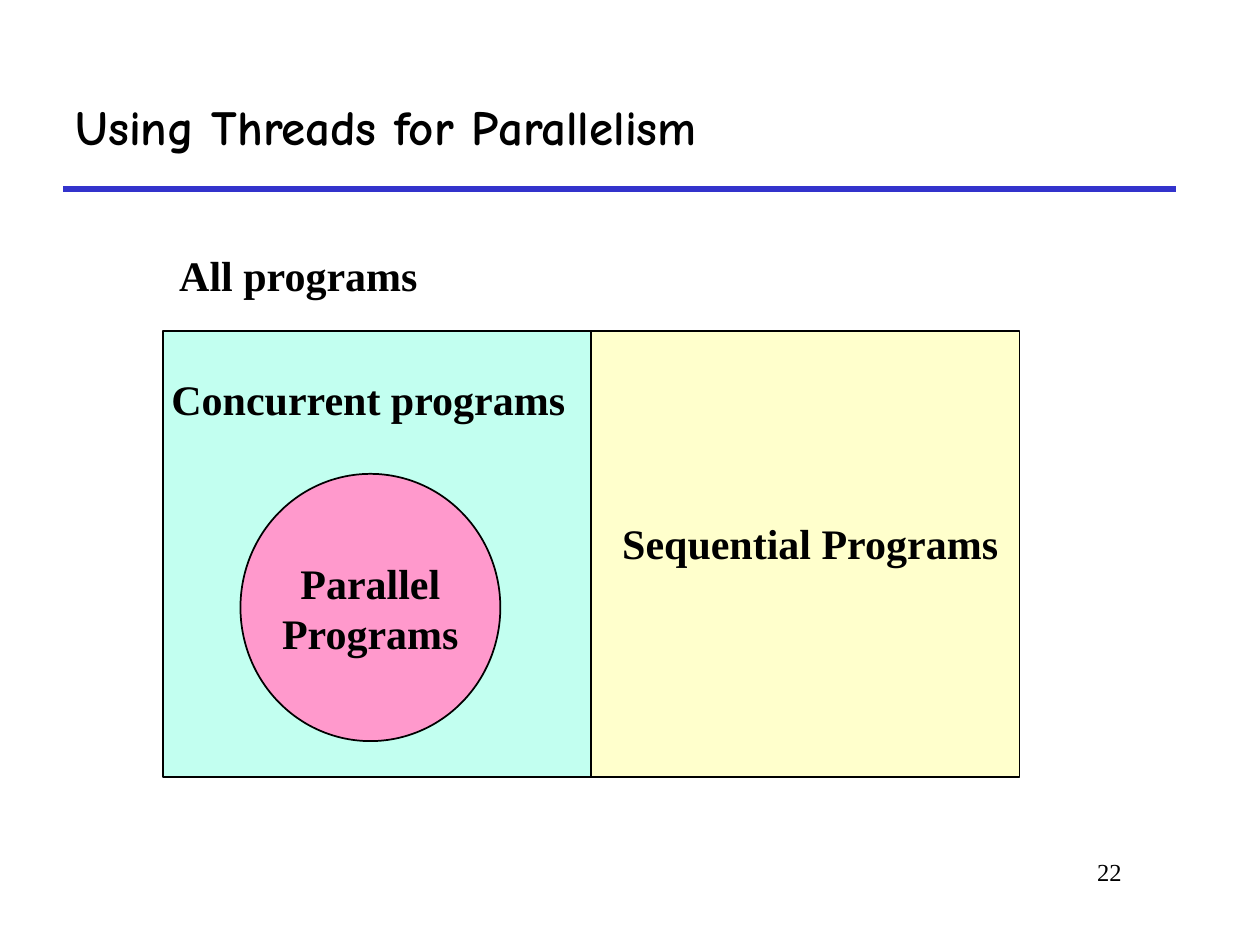
from dataclasses import dataclass

from lxml.etree import SubElement
from pptx import Presentation
from pptx.dml.color import RGBColor
from pptx.enum.shapes import MSO_CONNECTOR, MSO_SHAPE
from pptx.enum.text import MSO_ANCHOR, PP_ALIGN
from pptx.oxml.ns import qn
from pptx.util import Pt

BLACK = RGBColor(0x00, 0x00, 0x00)
BLUE = RGBColor(0x33, 0x33, 0xCC)
MINT = RGBColor(0xC2, 0xFF, 0xF0)
CREAM = RGBColor(0xFF, 0xFF, 0xCC)
PINK = RGBColor(0xFF, 0x99, 0xCC)
SERIF = "Times New Roman"
TITLE_FONT = "Comic Neue"


@dataclass
class Box:
    left: float
    top: float
    width: float
    height: float

    def lengths(self) -> tuple:
        return Pt(self.left), Pt(self.top), Pt(self.width), Pt(self.height)


@dataclass
class Region:
    kind: MSO_SHAPE
    box: Box
    fill: RGBColor


@dataclass
class Label:
    text: str
    box: Box
    size: float = 24
    bold: bool = True
    align: PP_ALIGN = PP_ALIGN.CENTER
    anchor: MSO_ANCHOR = MSO_ANCHOR.MIDDLE
    wrap: bool = False


def write(p, text: str, size: float, font: str, bold: bool) -> None:
    r = p.add_run()
    r.text = text
    r.font.size = Pt(size)
    r.font.name = font
    r.font.bold = bold
    r.font.color.rgb = BLACK


def draw_region(s, region: Region):
    sp = s.shapes.add_shape(region.kind, *region.box.lengths())
    sp.shadow.inherit = False
    sp.fill.solid()
    sp.fill.fore_color.rgb = region.fill
    sp.line.color.rgb = BLACK
    sp.line.width = Pt(1)
    return sp


def draw_label(s, label: Label) -> None:
    tf = s.shapes.add_textbox(*label.box.lengths()).text_frame
    tf.word_wrap = label.wrap
    tf.vertical_anchor = label.anchor
    p = tf.paragraphs[0]
    p.alignment = label.align
    write(p, label.text, label.size, SERIF, label.bold)


prs = Presentation()
prs.slide_width, prs.slide_height = Pt(720), Pt(540)
s = prs.slides.add_slide(prs.slide_layouts[5])

# Title and the rule below it
title = s.shapes.title
title.left, title.top, title.width, title.height = Box(36, 36, 636, 72).lengths()
title.text_frame.vertical_anchor = MSO_ANCHOR.MIDDLE
p = title.text_frame.paragraphs[0]
p.alignment = PP_ALIGN.LEFT
write(p, "Using Threads for Parallelism", 28, TITLE_FONT, True)

rule = s.shapes.add_connector(MSO_CONNECTOR.STRAIGHT, Pt(36), Pt(108), Pt(672), Pt(108))
rule.line.color.rgb = BLUE
rule.line.width = Pt(3)
SubElement(rule._element.spPr, qn("a:effectLst"))

# All programs: two equal halves side by side
LEFT, TOP, HALF, HEIGHT = 93, 189.25, 244.8, 255
for i, fill in enumerate((MINT, CREAM)):
    draw_region(s, Region(MSO_SHAPE.RECTANGLE, Box(LEFT + i * HALF, TOP, HALF, HEIGHT), fill))

# Parallel programs, within the concurrent half
circle = draw_region(s, Region(MSO_SHAPE.OVAL, Box(137.4, 270.8, 148.5, 152.7), PINK))
tf = circle.text_frame
tf.word_wrap = False
tf.vertical_anchor = MSO_ANCHOR.MIDDLE
for i, word in enumerate(("Parallel", "Programs")):
    p = tf.add_paragraph() if i else tf.paragraphs[0]
    p.alignment = PP_ALIGN.CENTER
    write(p, word, 24, SERIF, True)

# Labels and page number
LABELS = [
    Label("All programs", Box(95, 139, 151, 36)),
    Label("Concurrent programs", Box(90, 210, 241, 36)),
    Label("Sequential Programs", Box(348, 292, 230, 36)),
    Label("22", Box(546, 486, 102, 36), 14, False, PP_ALIGN.RIGHT, MSO_ANCHOR.TOP, True),
]
for label in LABELS:
    draw_label(s, label)

prs.save("out.pptx")
